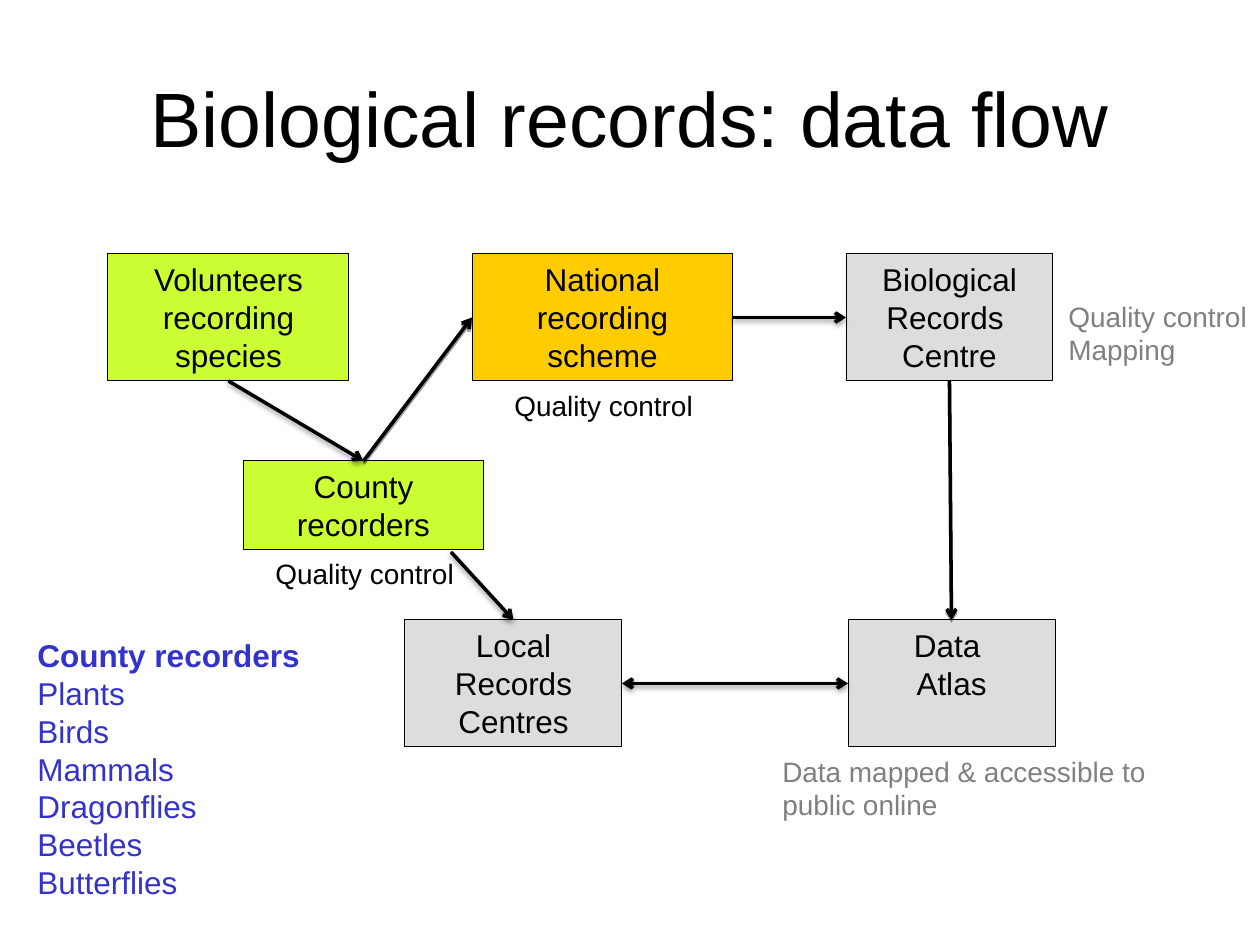
from dataclasses import dataclass
from typing import NamedTuple, Optional

from lxml.etree import SubElement
from pptx import Presentation
from pptx.dml.color import RGBColor
from pptx.enum.shapes import MSO_CONNECTOR as Connector, MSO_SHAPE as Shape
from pptx.enum.text import MSO_ANCHOR as Anchor, PP_ALIGN as Align
from pptx.oxml.ns import qn
from pptx.util import Emu, Pt

PX_PER_INCH = 126
TOP, LEFT, BOTTOM, RIGHT = range(4)


@dataclass(frozen=True)
class Theme:
    font: str = "Arial"
    black: str = "000000"
    grey: str = "808080"
    blue: str = "3333CC"
    lime: str = "CCFF33"
    amber: str = "FFCC00"
    silver: str = "DDDDDD"
    title_size: int = 44
    body_size: int = 18
    label_size: int = 16
    border: float = 0.5
    arrow: float = 2


class Area(NamedTuple):
    left: int
    top: int
    width: int
    height: int


class Node(NamedTuple):
    name: str
    lines: list[str]
    area: Area
    fill: str


class Label(NamedTuple):
    lines: list[str]
    area: Area
    color: str


class Flow(NamedTuple):
    source: str
    source_side: Optional[int]
    target: str
    target_side: int
    two_way: bool = False
    blur: float = 3.1
    start: tuple[int, int] = (0, 0)


THEME = Theme()
UPPER, LOWER, BOX_HEIGHT = 254, 620, 127
NODES = [
    Node("volunteers", ["Volunteers recording species"], Area(108, UPPER, 241, BOX_HEIGHT), THEME.lime),
    Node("scheme", ["National recording scheme"], Area(472, UPPER, 261, BOX_HEIGHT), THEME.amber),
    Node("centre", ["Biological Records ", "Centre"], Area(846, UPPER, 207, BOX_HEIGHT), THEME.silver),
    Node("county", ["County recorders"], Area(243, 461, 241, 89), THEME.lime),
    Node("local", ["Local Records Centres"], Area(405, LOWER, 217, BOX_HEIGHT), THEME.silver),
    Node("atlas", ["Data ", "Atlas"], Area(848, LOWER, 207, BOX_HEIGHT), THEME.silver),
]
LABELS = [
    Label(["Quality control"], Area(502, 382, 204, 47), THEME.black),
    Label(["Quality control"], Area(263, 550, 204, 47), THEME.black),
    Label(["Quality control", "Mapping"], Area(1056, 293, 204, 81), THEME.grey),
    Label(["Data mapped & accessible to", "public online"], Area(770, 748, 389, 81), THEME.grey),
]
FLOWS = [
    Flow("volunteers", BOTTOM, "county", TOP),
    Flow("county", TOP, "scheme", LEFT, blur=0),
    Flow("scheme", RIGHT, "centre", LEFT),
    Flow("centre", BOTTOM, "atlas", TOP, blur=0),
    Flow("local", RIGHT, "atlas", LEFT, two_way=True),
    Flow("county", None, "local", TOP, start=(451, 552)),
]
RECORDERS = ["County recorders", "Plants", "Birds", "Mammals", "Dragonflies", "Beetles", "Butterflies"]


def px(length: int) -> Emu:
    """Turn pixels into EMU."""
    return Emu(round(length * 914400 / PX_PER_INCH))


def place(area: Area) -> list[Emu]:
    """Turn an area into EMU lengths."""
    return [px(length) for length in area]


def write(box, lines: list[str], size: int, color: str, align=Align.LEFT,
          anchor=Anchor.TOP, wrap: bool = True, bold_first: bool = False) -> None:
    """Write one paragraph per line into a box."""
    frame = box.text_frame
    frame.word_wrap = wrap
    frame.vertical_anchor = anchor
    for index, line in enumerate(lines):
        para = frame.add_paragraph() if index else frame.paragraphs[0]
        para.alignment = align
        span = para.add_run()
        span.text = line
        span.font.name = THEME.font
        span.font.size = Pt(size)
        span.font.bold = bold_first and index == 0
        span.font.color.rgb = RGBColor.from_string(color)


def draw_text(page, area: Area, lines: list[str], size: int, color: str, **style) -> None:
    """Draw a text box."""
    write(page.shapes.add_textbox(*place(area)), lines, size, color, **style)


def draw_node(page, node: Node):
    """Draw a bordered box and return it."""
    box = page.shapes.add_shape(Shape.RECTANGLE, *place(node.area))
    box.shadow.inherit = False
    box.fill.solid()
    box.fill.fore_color.rgb = RGBColor.from_string(node.fill)
    box.line.color.rgb = RGBColor.from_string(THEME.black)
    box.line.width = Pt(THEME.border)
    write(box, node.lines, THEME.body_size, THEME.black, align=Align.CENTER)
    return box


def add_shadow(line, blur: float) -> None:
    """Give a connector a soft shadow below it."""
    effects = SubElement(line._element.spPr, qn("a:effectLst"))
    shadow = SubElement(effects, qn("a:outerShdw"), blurRad=str(Pt(blur)), dist=str(Pt(1.6)),
                        dir="5400000", rotWithShape="0")
    color = SubElement(shadow, qn("a:srgbClr"), val=THEME.black)
    SubElement(color, qn("a:alpha"), val="38000")


def draw_flow(page, flow: Flow, boxes: dict) -> None:
    """Draw an arrow between two boxes."""
    start = [px(length) for length in flow.start]
    line = page.shapes.add_connector(Connector.STRAIGHT, *start, *start)
    if flow.source_side is not None:
        line.begin_connect(boxes[flow.source], flow.source_side)
    line.end_connect(boxes[flow.target], flow.target_side)
    line.line.color.rgb = RGBColor.from_string(THEME.black)
    line.line.width = Pt(THEME.arrow)
    outline = line.line._get_or_add_ln()
    for end in ["a:headEnd", "a:tailEnd"] if flow.two_way else ["a:tailEnd"]:
        SubElement(outline, qn(end), type="arrow")
    add_shadow(line, flow.blur)


def main() -> None:
    """Build the data flow slide."""
    deck = Presentation()
    deck.slide_width, deck.slide_height = px(1260), px(945)
    page = deck.slides.add_slide(deck.slide_layouts[6])
    draw_text(page, Area(63, 38, 1134, 157), ["Biological records: data flow"], THEME.title_size,
              THEME.black, align=Align.CENTER, anchor=Anchor.MIDDLE)
    boxes = {node.name: draw_node(page, node) for node in NODES}
    for label in LABELS:
        draw_text(page, label.area, label.lines, THEME.label_size, label.color, wrap=False)
    draw_text(page, Area(25, 630, 320, 315), RECORDERS, THEME.body_size, THEME.blue, bold_first=True)
    for flow in FLOWS:
        draw_flow(page, flow, boxes)
    deck.save("out.pptx")


if __name__ == "__main__":
    main()
